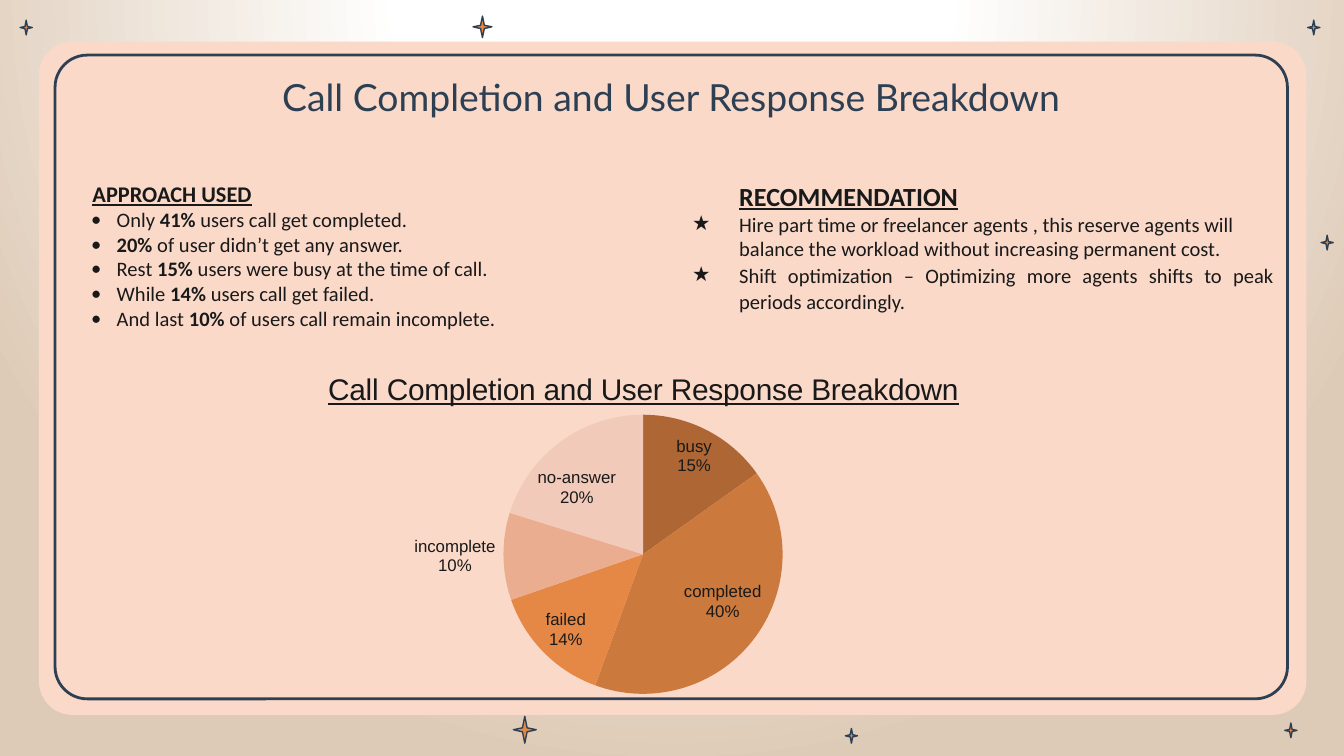
from dataclasses import dataclass

from lxml import etree
from pptx import Presentation
from pptx.chart.data import CategoryChartData
from pptx.dml.color import RGBColor
from pptx.enum.chart import XL_CHART_TYPE, XL_LABEL_POSITION
from pptx.enum.shapes import MSO_SHAPE
from pptx.enum.text import MSO_ANCHOR, PP_ALIGN
from pptx.oxml import parse_xml
from pptx.oxml.ns import nsdecls, qn
from pptx.util import Inches, Pt

PIE = XL_CHART_TYPE.PIE
BEST_FIT = XL_LABEL_POSITION.BEST_FIT
ROUNDED = MSO_SHAPE.ROUNDED_RECTANGLE
MIDDLE = MSO_ANCHOR.MIDDLE
LEFT, CENTER, JUSTIFY = PP_ALIGN.LEFT, PP_ALIGN.CENTER, PP_ALIGN.JUSTIFY


@dataclass(frozen=True)
class Theme:
    panel: str = "FAD9C9"
    navy: str = "2D3F53"
    orange: str = "E58845"
    ink: str = "191919"
    white: str = "FFFFFF"
    sand: str = "DECBB7"
    slices: tuple = ("AE6734", "CB793D", "E58845", "EBAD90", "F1CABA")
    title_font: str = "Lato"
    body_font: str = "Calibri"
    chart_font: str = "Arial"
    title_size: float = 20
    approach_size: float = 12
    recommendation_size: float = 14
    body_size: float = 11
    chart_title_size: float = 16
    chart_size: float = 10
    label_size: float = 9


THEME = Theme()


@dataclass(frozen=True)
class Star:
    left: float
    top: float
    width: float = 0.09
    height: float = 0.11


@dataclass(frozen=True)
class Line:
    """One paragraph; text between ** marks is bold."""
    text: str
    margin: float
    indent: float = 0
    bullet: str = ""
    size: float = THEME.body_size
    underline: bool = False
    align: PP_ALIGN = LEFT
    spacing: float = 1.0


STARS = [
    Star(9.83, 1.75), Star(3.52, 0.12, 0.14, 0.16), Star(0.15, 0.15), Star(9.73, 0.15),
    Star(6.29, 5.42), Star(3.82, 5.33, 0.17, 0.2), Star(9.56, 5.38),
]
STAR_OUTLINE = [(0.5, 0), (0.6, 0.43), (1, 0.5), (0.6, 0.58),
                (0.5, 1), (0.4, 0.58), (0, 0.5), (0.4, 0.43)]
HEADING = "Call Completion and User Response Breakdown"
APPROACH = [
    "Only **41%** users call get completed.",
    "**20%** of user didn’t get any answer.",
    "Rest **15% **users were busy at the time of call.",
    "While **14%** users call get failed.",
    "And last **10%** of users call remain incomplete.",
]
LINES = [
    Line("**APPROACH USED**", 0.17, size=THEME.approach_size, underline=True),
    *[Line(text, 0.35, -0.19, "•") for text in APPROACH],
    Line("**RECOMMENDATION**", 0.5, size=THEME.recommendation_size, underline=True),
    Line("Hire part time or freelancer agents , this reserve agents will balance "
         "the workload without increasing permanent cost.", 0.5, -0.35, "★"),
    Line("Shift optimization – Optimizing more agents shifts to peak periods accordingly.",
         0.5, -0.35, "★", align=JUSTIFY, spacing=1.07),
]
RESPONSES = {"busy": 15, "completed": 40, "failed": 14, "incomplete": 10, "no-answer": 20}


def color(value: str) -> RGBColor:
    return RGBColor.from_string(value)


def style_font(font, *, name: str, size: float, ink: str,
               bold: bool = False, underline: bool = False) -> None:
    font.name, font.size = name, Pt(size)
    font.bold, font.underline = bold, underline
    font.color.rgb = color(ink)


def style_shape(shape, *, fill: str = "", line: str = "", weight: float = 0) -> None:
    shape.shadow.inherit = False
    if fill:
        shape.fill.solid()
        shape.fill.fore_color.rgb = color(fill)
    else:
        shape.fill.background()
    if line:
        shape.line.color.rgb = color(line)
        shape.line.width = Pt(weight)
    else:
        shape.line.fill.background()


def add_background(slide) -> None:
    slide.background.fill.solid()
    background = slide._element.cSld.find(qn("p:bg")).find(qn("p:bgPr"))
    stops = "".join(
        f'<a:gs pos="{position * 1000}"><a:srgbClr val="{value}"/></a:gs>'
        for position, value in ((0, THEME.white), (35, THEME.white), (100, THEME.sand)))
    background.replace(background[0], parse_xml(
        f'<a:gradFill {nsdecls("a")} rotWithShape="1"><a:gsLst>{stops}</a:gsLst>'
        '<a:path path="circle"><a:fillToRect l="50000" t="-80000" r="50000" b="180000"/>'
        '</a:path></a:gradFill>'))


def add_panel(slide, left: float, top: float, width: float, height: float, **look) -> None:
    panel = slide.shapes.add_shape(
        ROUNDED, Inches(left), Inches(top), Inches(width), Inches(height))
    panel.adjustments[0] = 0.05
    style_shape(panel, **look)


def add_star(slide, star: Star) -> None:
    points = [(Inches(star.left + x * star.width), Inches(star.top + y * star.height))
              for x, y in STAR_OUTLINE]
    builder = slide.shapes.build_freeform(*points[0])
    builder.add_line_segments(points[1:], close=True)
    style_shape(builder.convert_to_shape(), fill=THEME.orange, line=THEME.navy, weight=0.75)


def add_text_frame(slide, left: float, top: float, width: float, height: float,
                   bottom_inset: float = 0.1):
    box = slide.shapes.add_textbox(Inches(left), Inches(top), Inches(width), Inches(height))
    frame = box.text_frame
    frame.word_wrap = True
    frame.margin_left = frame.margin_right = frame.margin_top = Inches(0.1)
    frame.margin_bottom = Inches(bottom_inset)
    return frame


def write_paragraph(paragraph, text: str, *, align: PP_ALIGN, spacing: float, **format) -> None:
    paragraph.alignment = align
    paragraph.line_spacing = spacing
    for index, part in enumerate(text.split("**")):
        if part:
            run = paragraph.add_run()
            run.text = part
            style_font(run.font, bold=index % 2 == 1, **format)


def set_indent(paragraph, line: Line) -> None:
    properties = paragraph._p.get_or_add_pPr()
    properties.set("marL", str(Inches(line.margin)))
    properties.set("indent", str(Inches(line.indent)))
    if line.bullet:
        bullet_color = etree.SubElement(properties, qn("a:buClr"))
        etree.SubElement(bullet_color, qn("a:srgbClr"), val=THEME.ink)
        etree.SubElement(properties, qn("a:buFont"), typeface=THEME.body_font)
        etree.SubElement(properties, qn("a:buChar"), char=line.bullet)


def add_columns(slide) -> None:
    frame = add_text_frame(slide, 0.42, 1.24, 9.16, 1.28, bottom_inset=0.02)
    frame._txBody.bodyPr.set("numCol", "2")
    for index, line in enumerate(LINES):
        paragraph = frame.add_paragraph() if index else frame.paragraphs[0]
        write_paragraph(paragraph, line.text, align=line.align, spacing=line.spacing,
                        name=THEME.body_font, size=line.size, ink=THEME.ink,
                        underline=line.underline)
        set_indent(paragraph, line)


def set_layout(parent, target: str, **values: float) -> None:
    """Place a chart part by fractions of the chart area."""
    inner = '<c:layoutTarget val="inner"/>' if target == "inner" else ""
    modes = "".join(f'<c:{axis}Mode val="edge"/>' for axis in "xy")
    sizes = "".join(f'<c:{name} val="{value}"/>' for name, value in values.items())
    for old in parent.findall(qn("c:layout")):
        parent.remove(old)
    layout = parse_xml(f'<c:layout {nsdecls("c")}><c:manualLayout>{inner}{modes}{sizes}'
                       '</c:manualLayout></c:layout>')
    parent.insert(0 if target == "inner" else 1, layout)


def add_pie(slide) -> None:
    data = CategoryChartData()
    data.categories = list(RESPONSES)
    data.add_series("Series 1", list(RESPONSES.values()))
    chart = slide.shapes.add_chart(
        PIE, Inches(1.73), Inches(2.61), Inches(6.11), Inches(2.59), data).chart
    chart.has_legend = False
    style_font(chart.font, name=THEME.chart_font, size=THEME.chart_size, ink=THEME.orange)

    # Title and plot position
    write_paragraph(chart.chart_title.text_frame.paragraphs[0], HEADING, align=CENTER,
                    spacing=1.0, name=THEME.chart_font, size=THEME.chart_title_size,
                    ink=THEME.ink, underline=True)
    set_layout(chart.chart_title._element, "title", x=0.11, y=0.04)
    set_layout(chart._chartSpace.chart.plotArea, "inner", x=0.33, y=0.18, w=0.34, h=0.81)

    # Slices and labels
    plot = chart.plots[0]
    plot.vary_by_categories = True
    for index, value in enumerate(THEME.slices):
        fill = plot.series[0].points[index].format.fill
        fill.solid()
        fill.fore_color.rgb = color(value)
    labels = plot.series[0].data_labels
    labels.show_category_name = labels.show_percentage = True
    labels.show_value = False
    labels.position = BEST_FIT
    style_font(labels.font, name=THEME.chart_font, size=THEME.label_size, ink=THEME.ink)
    separator = parse_xml(f'<c:separator {nsdecls("c")}>\n</c:separator>')
    labels._element.find(qn("c:showBubbleSize")).addnext(separator)


def main() -> None:
    presentation = Presentation()
    presentation.slide_width = Inches(10)
    presentation.slide_height = presentation.slide_width * 9 // 16
    slide = presentation.slides.add_slide(presentation.slide_layouts[6])

    # Backdrop
    add_background(slide)
    add_panel(slide, 0.29, 0.31, 9.43, 5.01, fill=THEME.panel)
    add_panel(slide, 0.41, 0.41, 9.17, 4.79, line=THEME.navy, weight=1.5)
    for star in STARS:
        add_star(slide, star)

    # Content
    add_columns(slide)
    add_pie(slide)
    title = add_text_frame(slide, 0.48, 0.44, 9.03, 0.5)
    title.vertical_anchor = MIDDLE
    write_paragraph(title.paragraphs[0], HEADING, align=CENTER, spacing=1.15,
                    name=THEME.title_font, size=THEME.title_size, ink=THEME.navy)

    presentation.save("out.pptx")


if __name__ == "__main__":
    main()
